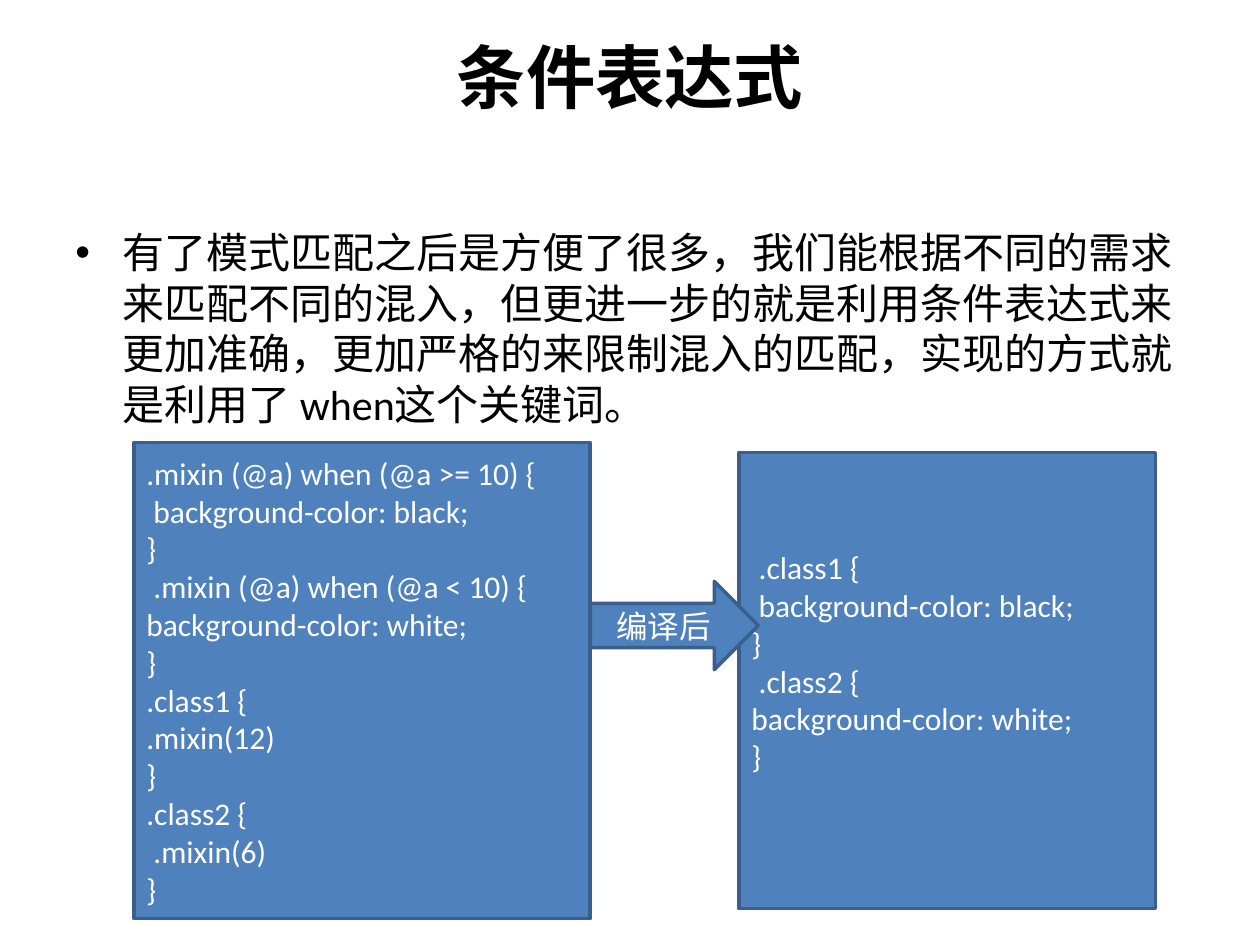
from lxml.etree import SubElement
from pptx import Presentation
from pptx.dml.color import RGBColor
from pptx.enum.shapes import MSO_SHAPE
from pptx.enum.text import MSO_ANCHOR, PP_ALIGN
from pptx.oxml.ns import qn
from pptx.util import Cm, Pt

BLACK = RGBColor(0x00, 0x00, 0x00)
WHITE = RGBColor(0xFF, 0xFF, 0xFF)
BLUE = RGBColor(0x4F, 0x81, 0xBD)
DARK_BLUE = RGBColor(0x3A, 0x5F, 0x8C)
FONT = "Calibri"

LESS_SOURCE = [
    ".mixin (@a) when (@a >= 10) {",
    " background-color: black; ",
    "}",
    " .mixin (@a) when (@a < 10) { ",
    "background-color: white; ",
    "} ",
    ".class1 { ",
    ".mixin(12) ",
    "} ",
    ".class2 {",
    " .mixin(6) ",
    "}",
]
CSS_RESULT = [
    " .class1 {  ",
    " background-color: black;  ",
    "} ",
    " .class2 {   ",
    "background-color: white;  ",
    "}",
]
EXPLANATION = (
    "有了模式匹配之后是方便了很多，我们能根据不同的需求来匹配不同的混入，"
    "但更进一步的就是利用条件表达式来更加准确，更加严格的来限制混入的匹配，"
    "实现的方式就是利用了\u00a0when这个关键词。"
)


def write_lines(frame, lines, size, color, align=PP_ALIGN.LEFT, bold=False):
    frame.word_wrap = True
    for index, line in enumerate(lines):
        paragraph = frame.add_paragraph() if index else frame.paragraphs[0]
        paragraph.text = line
        paragraph.alignment = align
        font = paragraph.font
        font.name, font.size, font.bold = FONT, Pt(size), bold
        font.color.rgb = color


def add_text(slide, box, text, size, **style):
    frame = slide.shapes.add_textbox(*map(Cm, box)).text_frame
    write_lines(frame, [text], size, BLACK, **style)
    return frame


def add_bullet(paragraph, indent):
    properties = paragraph._p.get_or_add_pPr()
    properties.set("marL", str(indent))
    properties.set("indent", str(-indent))
    SubElement(properties, qn("a:buFont")).set("typeface", "Arial")
    SubElement(properties, qn("a:buChar")).set("char", "•")


def add_block(slide, preset, box, lines, align=PP_ALIGN.LEFT):
    block = slide.shapes.add_shape(preset, *map(Cm, box))
    block.shadow.inherit = False
    block.fill.solid()
    block.fill.fore_color.rgb = BLUE
    block.line.color.rgb = DARK_BLUE
    block.line.width = Pt(2)
    frame = block.text_frame
    frame.vertical_anchor = MSO_ANCHOR.MIDDLE
    write_lines(frame, lines, 18, WHITE, align)
    return frame


def main():
    presentation = Presentation()
    presentation.slide_width, presentation.slide_height = Cm(25.4), Cm(19.05)
    slide = presentation.slides.add_slide(presentation.slide_layouts[6])

    # Title, held in the upper part of its frame
    title = add_text(slide, (1.27, 0.76, 22.86, 3.18), "条件表达式", 39.6,
                     align=PP_ALIGN.CENTER, bold=True)
    title.vertical_anchor = MSO_ANCHOR.MIDDLE
    title.margin_top, title.margin_bottom = Cm(0), Cm(1.65)

    # Explanation
    explanation = add_text(slide, (1.27, 4.45, 22.86, 12.57), EXPLANATION, 24)
    add_bullet(explanation.paragraphs[0], Cm(0.95))

    # Source code and compiled result, which sits a little above the middle
    add_block(slide, MSO_SHAPE.RECTANGLE, (2.7, 8.92, 9.2, 9.6), LESS_SOURCE)
    result = add_block(slide, MSO_SHAPE.RECTANGLE, (14.9, 9.12, 8.4, 9.2), CSS_RESULT)
    result.margin_bottom = Cm(0.89)

    # Compilation arrow
    add_block(slide, MSO_SHAPE.RIGHT_ARROW, (11.9, 11.72, 3.39, 1.78), ["编译后"],
              PP_ALIGN.CENTER)

    presentation.save("out.pptx")


main()
